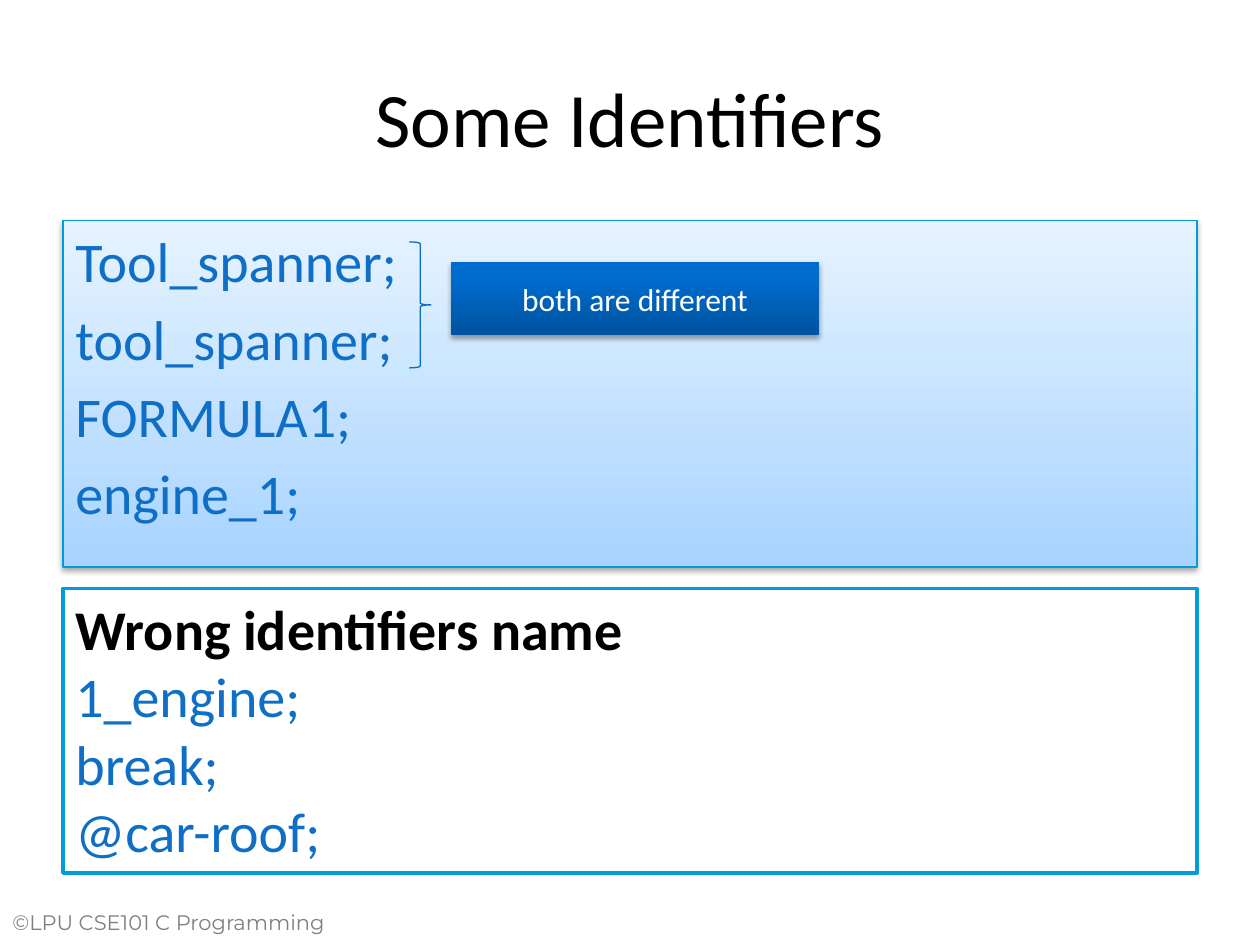
from lxml.etree import SubElement
from pptx import Presentation
from pptx.dml.color import RGBColor
from pptx.enum.shapes import MSO_SHAPE
from pptx.enum.text import MSO_ANCHOR, PP_ALIGN
from pptx.oxml.ns import qn
from pptx.util import Inches, Pt

COLORS = {
    "black": "000000",
    "white": "FFFFFF",
    "gray": "808080",
    "code": "0F6FC6",
    "border": "009DD9",
    "brace": "0A6DC6",
    "panel_bottom": "A8D4FF",
    "panel_top": "E6F3FF",
    "label_bottom": "00539F",
    "label_top": "006CCE",
}


class IdentifierSlide:
    """Holds the style and the current slide, and draws each kind of element."""

    def __init__(self, presentation, font="Calibri"):
        self.slide = presentation.slides.add_slide(presentation.slide_layouts[6])
        self.font = font

    def color(self, name):
        """Return the named color."""
        return RGBColor.from_string(COLORS[name])

    def add_lines(self, shape, lines, size, align=PP_ALIGN.LEFT, anchor=MSO_ANCHOR.TOP,
                  gap=0, font=None):
        """Add (text, color, bold) lines as paragraphs of one shape."""
        frame = shape.text_frame
        frame.word_wrap = True
        frame.vertical_anchor = anchor
        for index, (text, color, bold) in enumerate(lines):
            paragraph = frame.add_paragraph() if index else frame.paragraphs[0]
            paragraph.alignment = align
            paragraph.space_before = Pt(gap if index else 0)
            run = paragraph.add_run()
            run.text = text
            run.font.name = font or self.font
            run.font.size = Pt(size)
            run.font.bold = bold
            run.font.color.rgb = self.color(color)

    def text(self, box, lines, size, **style):
        """Add a text box."""
        shape = self.slide.shapes.add_textbox(*map(Inches, box))
        self.add_lines(shape, lines, size, **style)

    def shape(self, kind, box, line=None, width=0.75):
        """Add a preset shape with the given outline and no shadow."""
        shape = self.slide.shapes.add_shape(kind, *map(Inches, box))
        shape.shadow.inherit = False
        if line:
            shape.line.color.rgb = self.color(line)
            shape.line.width = Pt(width)
        else:
            shape.line.fill.background()
        return shape

    def panel(self, box, lines, size, line=None, width=0.75, **style):
        """Add a white rectangle with text."""
        shape = self.shape(MSO_SHAPE.RECTANGLE, box, line, width)
        shape.fill.solid()
        shape.fill.fore_color.rgb = self.color("white")
        self.add_lines(shape, lines, size, **style)
        return shape

    def raised_panel(self, box, lines, size, bottom, top, top_stop=1, **style):
        """Add a rectangle with text, a vertical gradient and a soft shadow."""
        shape = self.panel(box, lines, size, **style)
        shape.fill.gradient()
        shape.fill.gradient_angle = 90
        for stop, name, position in zip(shape.fill.gradient_stops, (bottom, top), (0, top_stop)):
            stop.color.rgb = self.color(name)
            stop.position = position
        effects = shape.element.spPr.find(qn("a:effectLst"))
        shadow = SubElement(effects, qn("a:outerShdw"), blurRad=str(Pt(3.1)),
                            dist=str(Pt(1.8)), dir="5400000", rotWithShape="0")
        shade = SubElement(shadow, qn("a:srgbClr"), val=COLORS["black"])
        SubElement(shade, qn("a:alpha"), val="35000")

    def brace(self, box):
        """Add a right brace."""
        self.shape(MSO_SHAPE.RIGHT_BRACE, box, "brace").fill.background()


def code_lines(*names):
    """Return the names as lines in the code color."""
    return [(name, "code", False) for name in names]


def main():
    """Build and save the slide."""
    presentation = Presentation()
    presentation.slide_width, presentation.slide_height = Inches(10), Inches(7.5)
    page = IdentifierSlide(presentation)
    centered = {"align": PP_ALIGN.CENTER, "anchor": MSO_ANCHOR.MIDDLE}

    page.text((0, 7.17, 3, 0.42), [("©LPU CSE101 C Programming", "gray", False)], 12,
              font="Montserrat")
    page.text((0.5, 0.3, 9, 1.25), [("Some Identifiers", "black", False)], 44, **centered)
    page.raised_panel((0.5, 1.75, 9, 2.75),
                      code_lines("Tool_spanner;", "tool_spanner;", "FORMULA1;", "engine_1;"),
                      32, "panel_bottom", "panel_top", line="border", gap=5.8)
    page.brace((3.25, 1.92, 0.17, 1))
    page.raised_panel((3.58, 2.08, 2.92, 0.58), [("both are different", "white", False)], 18,
                      "label_bottom", "label_top", top_stop=0.8, **centered)
    page.panel((0.5, 4.67, 9, 2.26),
               [("Wrong identifiers name", "black", True),
                *code_lines("1_engine;", "break;", "@car-roof;")],
               32, line="border", width=2)
    presentation.save("out.pptx")


if __name__ == "__main__":
    main()
